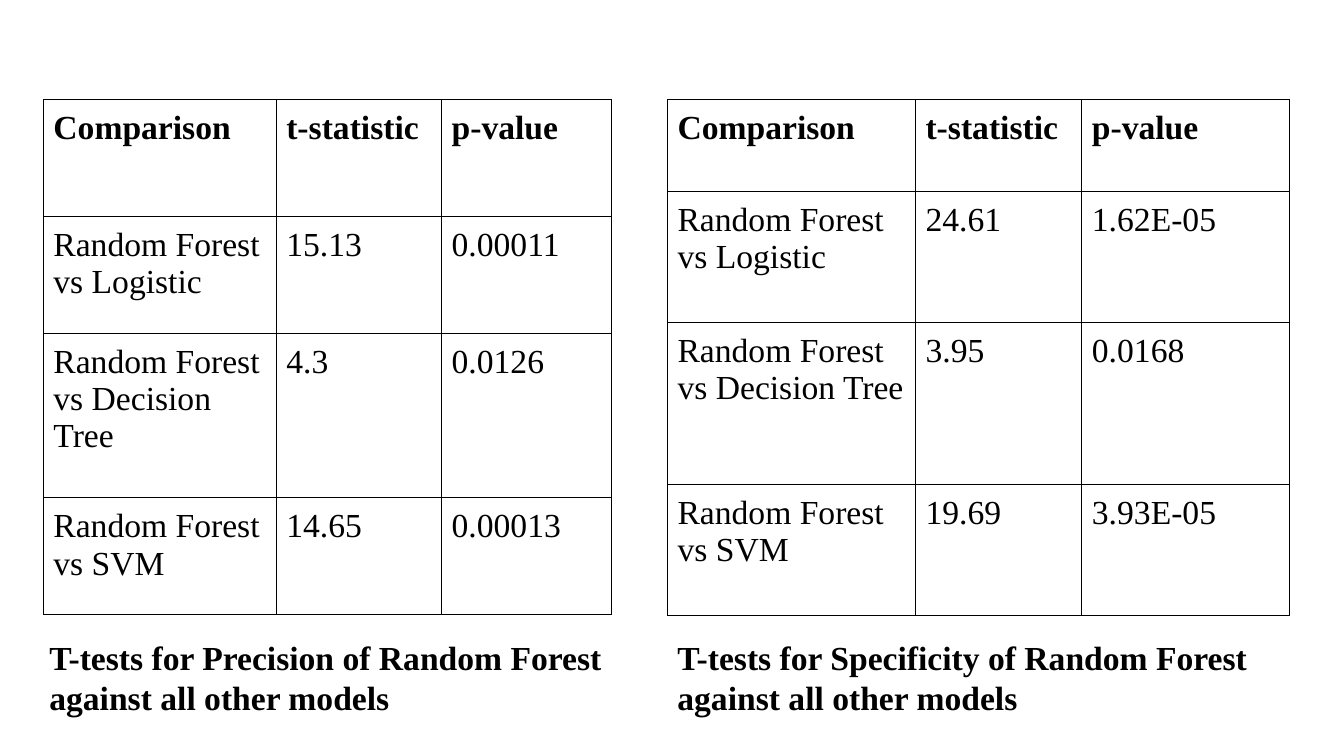
import pptx
import pptx.util
import pptx.dml.color
import pptx.enum.text
import pptx.oxml
import pptx.oxml.ns
from pptx.util import Inches

BLACK = pptx.dml.color.RGBColor(0, 0, 0)
PAD = Inches(0.1)
TOP = 0.99
HEAD = ["Comparison", "t-statistic", "p-value"]
RIVALS = ["Logistic", "Decision Tree", "SVM"]

# metric, table left, caption left, caption width, columns, rows, values
TESTS = [
    ("Precision", 0.43, 0.39, 5.72, [2.31, 1.64, 1.69], [1.16, 1.16, 1.63, 1.16],
     [("15.13", "0.00011"), ("4.3", "0.0126"), ("14.65", "0.00013")]),
    ("Specificity", 6.62, 6.62, 6.17, [2.46, 1.65, 2.06], [0.91, 1.3, 1.61, 1.3],
     [("24.61", "1.62E-05"), ("3.95", "0.0168"), ("19.69", "3.93E-05")]),
]


def write(box, text, bold):
    """Fill a cell or text frame with one padded line of text."""
    box.margin_left = box.margin_right = PAD
    box.margin_top = box.margin_bottom = PAD
    box.word_wrap = True
    frame = getattr(box, "text_frame", box)
    para = frame.paragraphs[0]
    para.text = text
    font = para.font
    font.name = "Times New Roman"
    font.size = pptx.util.Pt(24)
    font.bold = bold
    font.color.rgb = BLACK


def border(cell):
    props = cell._tc.get_or_add_tcPr()
    for i, side in enumerate(("lnL", "lnR", "lnT", "lnB")):
        line = pptx.oxml.parse_xml(
            f'<a:{side} {pptx.oxml.ns.nsdecls("a")} w="9525"><a:solidFill>'
            f'<a:srgbClr val="{BLACK}"/></a:solidFill></a:{side}>')
        props.insert(i, line)


deck = pptx.Presentation()
deck.slide_width = Inches(13.33)
deck.slide_height = Inches(7.5)
slide = deck.slides.add_slide(deck.slide_layouts[6])

for metric, left, edge, width, cols, rows, values in TESTS:
    table = slide.shapes.add_table(
        len(rows), len(cols), Inches(left), Inches(TOP),
        Inches(sum(cols)), Inches(sum(rows))).table
    table.horz_banding = False
    for col, size in zip(table.columns, cols):
        col.width = Inches(size)
    for row, size in zip(table.rows, rows):
        row.height = Inches(size)

    lines = [HEAD]
    for rival, pair in zip(RIVALS, values):
        lines.append([f"Random Forest vs {rival}", *pair])
    for r, line in enumerate(lines):
        for c, text in enumerate(line):
            cell = table.cell(r, c)
            cell.fill.background()
            write(cell, text, r == 0)
            border(cell)

    note = slide.shapes.add_textbox(
        Inches(edge), Inches(6.22), Inches(width), Inches(0.93)).text_frame
    write(note, f"T-tests for {metric} of Random Forest against all other models", True)
    note.auto_size = pptx.enum.text.MSO_AUTO_SIZE.SHAPE_TO_FIT_TEXT

deck.save("out.pptx")
